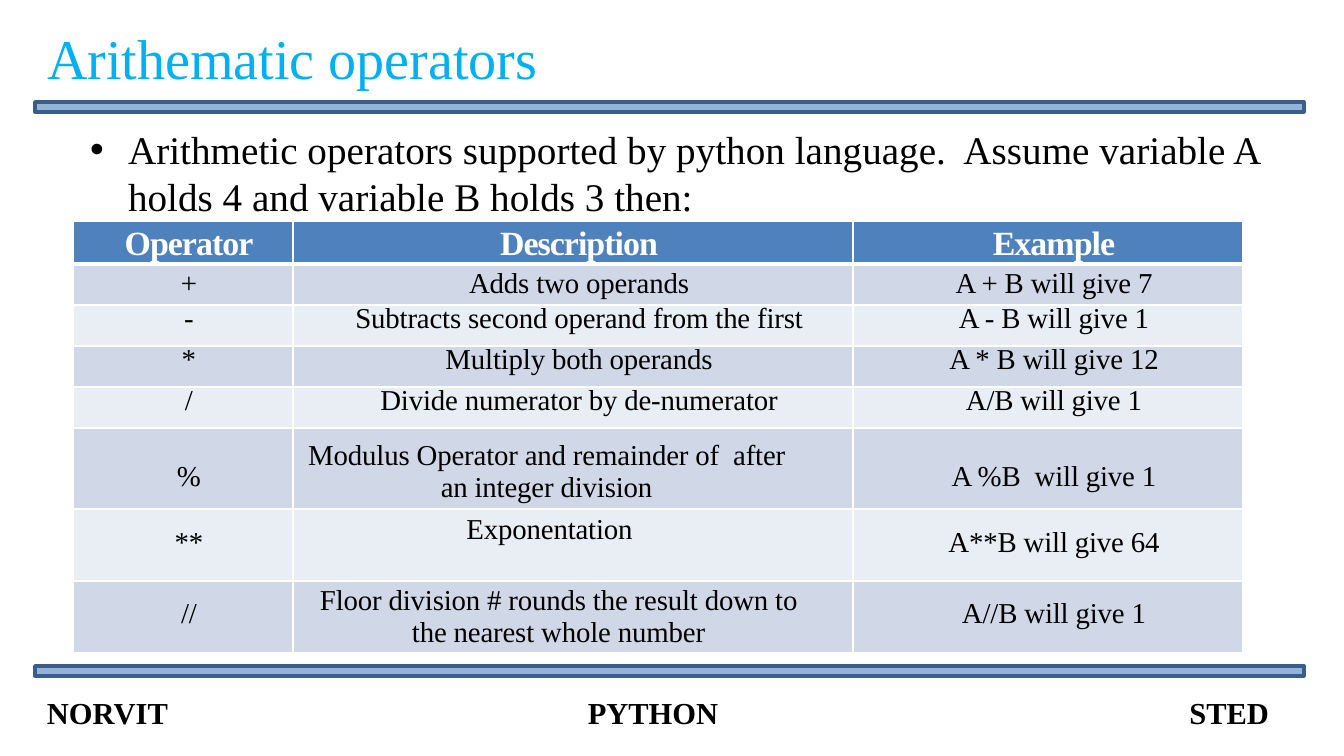
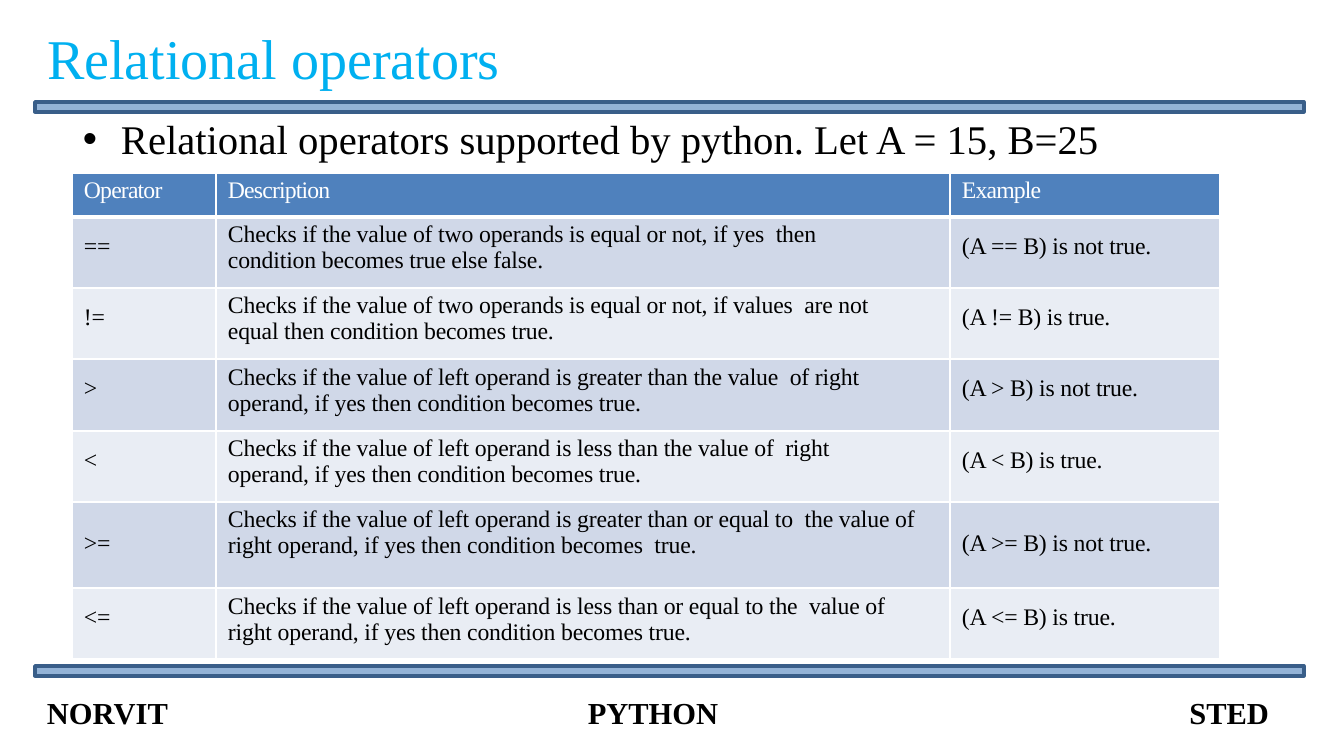
from dataclasses import dataclass

from lxml import etree
from pptx import Presentation
from pptx.dml.color import RGBColor
from pptx.enum.shapes import MSO_SHAPE
from pptx.enum.text import MSO_ANCHOR, MSO_AUTO_SIZE, PP_ALIGN
from pptx.oxml.ns import qn
from pptx.util import Emu, Pt

RECTANGLE = MSO_SHAPE.RECTANGLE
TOP = MSO_ANCHOR.TOP
NO_FIT = MSO_AUTO_SIZE.NONE
LEFT, CENTER = PP_ALIGN.LEFT, PP_ALIGN.CENTER
EMU_PER_PIXEL = 914400 / 122


@dataclass(frozen=True)
class Theme:
    font: str = "Times New Roman"
    title: str = "00B0F0"
    ink: str = "000000"
    white: str = "FFFFFF"
    bar: str = "93B3D7"
    bar_edge: str = "395E89"
    header: str = "4F81BD"
    bands: tuple = ("D0D8E8", "E9EDF4")
    title_size: float = 33.1
    footer_size: float = 18
    bar_line: float = 2
    header_rule: float = 3


@dataclass(frozen=True)
class Row:
    operator: str
    description: str
    example: str
    height: int
    side_top: int = 4
    description_top: int = 4
    description_right: int = 0
    line_height: float = 0


@dataclass(frozen=True)
class TableStyle:
    columns: tuple
    header_height: int
    header_size: float
    header_bold: bool
    header_spacing: int
    size: float
    align: PP_ALIGN
    rule: float


THEME = Theme()
HEADINGS = ("Operator", "Description", "Example")


def px(length):
    return Emu(round(length * EMU_PER_PIXEL))


def rgb(code):
    return RGBColor.from_string(code)


def place(part, box):
    part.left, part.top, part.width, part.height = map(px, box)


def set_margins(target, left=0, top=0, right=0, bottom=0):
    target.margin_left, target.margin_top = px(left), px(top)
    target.margin_right, target.margin_bottom = px(right), px(bottom)


def style(paragraph, size, color, bold=False, align=LEFT, spacing=0):
    paragraph.alignment = align
    font = paragraph.font
    font.name, font.size, font.bold = THEME.font, Pt(size), bold
    font.color.rgb = rgb(color)
    if spacing:
        font._rPr.set("spc", str(spacing))


def fill_placeholder(placeholder, box, text):
    place(placeholder, box)
    frame = placeholder.text_frame
    frame.text = text
    frame.word_wrap = True
    frame.auto_size = NO_FIT
    frame.vertical_anchor = TOP
    return frame


def add_title(slide, box, text):
    frame = fill_placeholder(slide.shapes.title, box, text)
    set_margins(frame, 12, 6, 12, 6)
    style(frame.paragraphs[0], THEME.title_size, THEME.title)


def add_lead(slide, box, text, size):
    frame = fill_placeholder(slide.placeholders[1], box, text)
    set_margins(frame, top=1)
    lead = frame.paragraphs[0]
    lead.space_before = Pt(0.8)
    style(lead, size, THEME.ink)
    properties = lead._p.get_or_add_pPr()
    properties.set("marL", str(px(39)))
    properties.set("indent", str(px(-38)))


def add_bar(slide, box):
    bar = slide.shapes.add_shape(RECTANGLE, *map(px, box))
    bar.shadow.inherit = False
    bar.fill.solid()
    bar.fill.fore_color.rgb = rgb(THEME.bar)
    bar.line.color.rgb = rgb(THEME.bar_edge)
    bar.line.width = Pt(THEME.bar_line)


def add_footer(slide, box, labels):
    footer = slide.shapes.add_textbox(*map(px, box))
    frame = footer.text_frame
    frame.word_wrap = True
    set_margins(frame, 12, 6, 12, 6)
    line = frame.paragraphs[0]
    line.text = "\t".join(labels)
    style(line, THEME.footer_size, THEME.ink, bold=True)
    tabs = etree.Element(qn("a:tabLst"))
    for position, alignment in ((606, "ctr"), (1222, "r")):
        etree.SubElement(tabs, qn("a:tab"), pos=str(px(position)), algn=alignment)
    line._p.get_or_add_pPr().insert(0, tabs)


def set_borders(cell, **widths):
    properties = cell._tc.get_or_add_tcPr()
    for index, side in enumerate("LRTB"):
        edge = etree.Element(qn(f"a:ln{side}"), w=str(Pt(widths[side])))
        paint = etree.SubElement(edge, qn("a:solidFill"))
        etree.SubElement(paint, qn("a:srgbClr"), val=THEME.white)
        properties.insert(index, edge)


def fill_cell(cell, text, fill, top, right=0, line_height=0, **text_style):
    cell.fill.solid()
    cell.fill.fore_color.rgb = rgb(fill)
    cell.vertical_anchor = TOP
    set_margins(cell, left=12, top=top, right=right)
    cell.text = text
    paragraph = cell.text_frame.paragraphs[0]
    if line_height:
        paragraph.line_spacing = Pt(line_height)
    style(paragraph, **text_style)


def add_operator_table(slide, corner, look, rows):
    heights = [look.header_height] + [row.height for row in rows]
    box = (*corner, sum(look.columns), sum(heights))
    table = slide.shapes.add_table(len(heights), len(look.columns), *map(px, box)).table
    table.first_row = table.horz_banding = False
    for column, width in zip(table.columns, look.columns):
        column.width = px(width)
    for table_row, height in zip(table.rows, heights):
        table_row.height = px(height)

    for column, heading in enumerate(HEADINGS):
        fill_cell(table.cell(0, column), heading, THEME.header, 4,
                  size=look.header_size, color=THEME.white, bold=look.header_bold,
                  align=look.align, spacing=look.header_spacing)
    for number, row in enumerate(rows, start=1):
        insets = ((row.side_top, 0), (row.description_top, row.description_right),
                  (row.side_top, 0))
        texts = (row.operator, row.description, row.example)
        for column, (text, (top, right)) in enumerate(zip(texts, insets)):
            fill_cell(table.cell(number, column), text, THEME.bands[(number - 1) % 2],
                      top, right, row.line_height, size=look.size, color=THEME.ink,
                      align=look.align, spacing=-10)
    for number in range(len(heights)):
        for column in range(len(look.columns)):
            set_borders(table.cell(number, column), L=look.rule, R=look.rule,
                        T=THEME.header_rule if number == 1 else look.rule,
                        B=THEME.header_rule if number == 0 else look.rule)


def add_operator_slide(deck, title, lead, lead_box, lead_size, corner, look, rows):
    slide = deck.slides.add_slide(deck.slide_layouts[1])
    for top in (666, 102):
        add_bar(slide, (35, top, 1269, 10))
    add_title(slide, (35, 17, 1269, 81), title)
    add_lead(slide, lead_box, lead, lead_size)
    add_operator_table(slide, corner, look, rows)
    add_footer(slide, (35, 688, 1269, 46), ("NORVIT", "PYTHON", "STED"))


ARITHMETIC_LOOK = TableStyle((220, 560, 390), 43, 20, True, -60, 17, CENTER, 1)
ARITHMETIC_ROWS = (
    Row("+", "Adds two operands", "A + B will give 7", 41),
    Row("-", "Subtracts second operand from the first", "A - B will give 1", 41,
        line_height=15.5),
    Row("*", "Multiply both operands", "A * B will give 12", 41, line_height=15.5),
    Row("/", "Divide numerator by de-numerator", "A/B will give 1", 41,
        line_height=15.5),
    Row("%", "Modulus Operator and remainder of  after an integer division",
        "A %B  will give 1", 81, 33, 12, 65),
    Row("**", "Exponentation", "A**B will give 64", 72, 18, 5, 59),
    Row("//", "Floor division # rounds the result down to the nearest whole number",
        "A//B will give 1", 72, 17, 4, 41),
)

RELATIONAL_LOOK = TableStyle((144, 734, 270), 44, 14, False, -50, 14, LEFT, 1.5)
RELATIONAL_ROWS = (
    Row("==", "Checks if the value of two operands is equal or not, if yes  then "
        "condition becomes true else false.", "(A == B) is not true.", 71, 16, 4, 48),
    Row("!=", "Checks if the value of two operands is equal or not, if values  are not "
        "equal then condition becomes true.", "(A != B) is true.", 71, 16, 4, 48),
    Row(">", "Checks if the value of left operand is greater than the value  of right "
        "operand, if yes then condition becomes true.", "(A > B) is not true.",
        72, 16, 5, 48),
    Row("<", "Checks if the value of left operand is less than the value of  right "
        "operand, if yes then condition becomes true.", "(A < B) is true.",
        71, 16, 4, 48),
    Row(">=", "Checks if the value of left operand is greater than or equal to  the "
        "value of right operand, if yes then condition becomes  true.",
        "(A >= B) is not true.", 86, 28, 4, 20),
    Row("<=", "Checks if the value of left operand is less than or equal to the  value "
        "of right operand, if yes then condition becomes true.", "(A <= B) is true.",
        71, 16, 5, 48),
)


def build():
    deck = Presentation()
    deck.slide_width, deck.slide_height = px(1344), px(756)
    add_operator_slide(
        deck, "Arithematic operators",
        "Arithmetic operators supported by python language.  Assume variable A "
        "holds 4 and variable B holds 3 then:",
        (89, 124, 1193, 96), 23.1, (73, 221), ARITHMETIC_LOOK, ARITHMETIC_ROWS)
    add_operator_slide(
        deck, "Relational operators",
        "Relational operators supported by python. Let A = 15, B=25",
        (82, 113, 1130, 51), 24, (72, 173), RELATIONAL_LOOK, RELATIONAL_ROWS)
    deck.save("out.pptx")


build()
